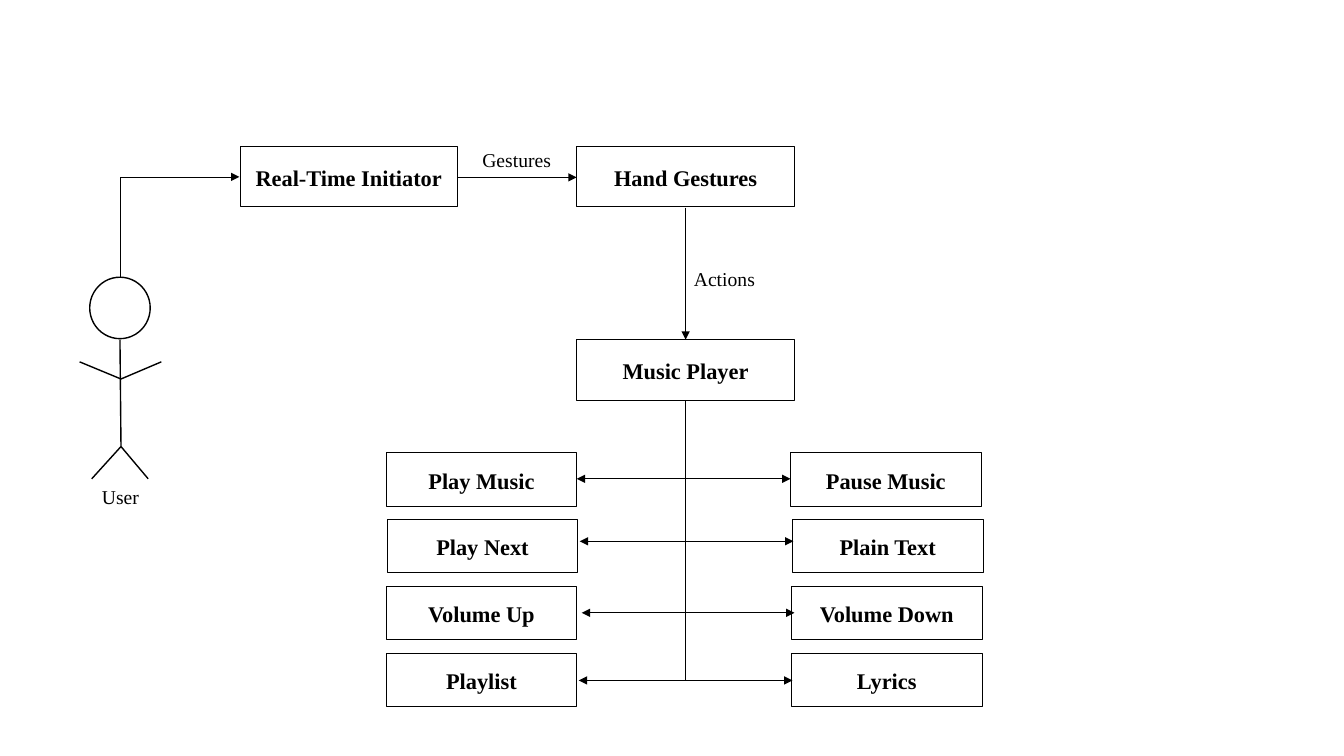
from dataclasses import dataclass

from lxml.etree import SubElement
from pptx import Presentation
from pptx.dml.color import RGBColor
from pptx.enum.shapes import MSO_CONNECTOR as Link, MSO_SHAPE as Preset
from pptx.enum.text import MSO_ANCHOR as Anchor, MSO_AUTO_SIZE as AutoSize, PP_ALIGN as Align
from pptx.oxml.ns import qn
from pptx.shapes.autoshape import Shape
from pptx.shapes.connector import Connector
from pptx.slide import Slide
from pptx.util import Inches, Pt

Point = tuple[float, float]


@dataclass(frozen=True)
class Theme:
    """Colours, font, type sizes and line widths."""
    ink: RGBColor = RGBColor(0, 0, 0)
    paper: RGBColor = RGBColor(255, 255, 255)
    font: str = "Times New Roman"
    box_size: Pt = Pt(16)
    label_size: Pt = Pt(14)
    thin: Pt = Pt(0.5)
    thick: Pt = Pt(1)


@dataclass(frozen=True)
class Process:
    """A labelled process box."""
    text: str
    left: float
    top: float
    width: float = 2.16
    height: float = 0.6


@dataclass(frozen=True)
class Label:
    """A free-standing caption."""
    text: str
    left: float
    top: float


@dataclass(frozen=True)
class CommandRow:
    """Two opposite player commands joined by a double arrow."""
    left_text: str
    right_text: str
    left: float
    right: float
    arrow_start: float
    arrow_end: float
    arrow_y: float


THEME = Theme()
SPINE_X = 6.8
ROW_TOP, ROW_PITCH = 4.49, 0.663
COMMAND_SIZE = (1.89, 0.53)
NECK, SHOULDER, HIP = (1.19, 3.37), (1.2, 3.76), (1.2, 4.43)

STAGES = [
    Process("Real-Time Initiator", 2.38, 1.45),
    Process("Hand Gestures", 5.72, 1.45),
    Process("Music Player", 5.72, 3.37),
]
LABELS = [
    Label("User", 0.75, 4.76),
    Label("Gestures", 4.68, 1.42),
    Label("Actions", 6.74, 2.6),
]
COMMANDS = [
    CommandRow("Play Music", "Pause Music", 3.83, 7.84, 5.72, 7.84, 4.75),
    CommandRow("Play Next", "Plain Text", 3.84, 7.86, 5.75, 7.87, 5.37),
    CommandRow("Volume Up", "Volume Down", 3.83, 7.85, 5.77, 7.88, 6.08),
    CommandRow("Playlist", "Lyrics", 3.83, 7.85, 5.74, 6.75 + 1.11, 6.75),
]
LIMBS = [
    (NECK, HIP),
    (HIP, (0.91, 4.75)),
    (HIP, (1.47, 4.75)),
    (SHOULDER, (0.79, 3.59)),
    (SHOULDER, (1.6, 3.59)),
]


def apply(target: object, values: dict) -> None:
    """Set each named attribute on the target."""
    for name, value in values.items():
        setattr(target, name, value)


def write(shape: Shape, text: str, size: Pt, bold: bool, spacing: dict) -> None:
    """Put one centred paragraph into a shape."""
    para = shape.text_frame.paragraphs[0]
    apply(para, {"alignment": Align.CENTER, **spacing})
    span = para.add_run()
    span.text = text
    apply(span.font, {"name": THEME.font, "size": size, "bold": bold})
    span.font.color.rgb = THEME.ink


def draw_process(page: Slide, process: Process) -> None:
    """Draw an outlined process box with bold text."""
    box = page.shapes.add_shape(
        Preset.FLOWCHART_PROCESS, Inches(process.left), Inches(process.top),
        Inches(process.width), Inches(process.height))
    box.shadow.inherit = False
    box.fill.background()
    box.line.color.rgb = THEME.ink
    box.line.width = THEME.thin
    apply(box.text_frame, {"word_wrap": True, "vertical_anchor": Anchor.MIDDLE})
    write(box, process.text, THEME.box_size, True,
          {"line_spacing": 1.07, "space_after": Pt(8)})


def draw_label(page: Slide, label: Label) -> None:
    """Draw a plain caption."""
    box = page.shapes.add_textbox(
        Inches(label.left), Inches(label.top), Inches(0.89), Inches(0.34))
    apply(box.text_frame, {"word_wrap": True, "auto_size": AutoSize.SHAPE_TO_FIT_TEXT})
    write(box, label.text, THEME.label_size, False, {})


def draw_line(page: Slide, start: Point, end: Point, width: Pt = THEME.thin,
              heads: tuple[str, ...] = (), kind: Link = Link.STRAIGHT) -> Connector:
    """Draw a connector; heads names the ends that get a triangle."""
    line = page.shapes.add_connector(kind, *(Inches(value) for value in start + end))
    line.line.color.rgb = THEME.ink
    line.line.width = width
    outline = line.line._get_or_add_ln()
    for head in heads:
        SubElement(outline, qn(f"a:{head}"), type="triangle")
    SubElement(line._element.spPr, qn("a:effectLst"))
    return line


def draw_user(page: Slide) -> None:
    """Draw the stick figure and the bent arrow leaving its head."""
    head = page.shapes.add_shape(
        Preset.OVAL, Inches(0.89), Inches(2.75), Inches(0.6), Inches(0.61))
    head.shadow.inherit = False
    head.fill.solid()
    head.fill.fore_color.rgb = THEME.paper
    head.line.color.rgb = THEME.ink
    head.line.width = THEME.thick
    for start, end in LIMBS:
        draw_line(page, start, end, THEME.thick)
    # A quarter turn makes the single bend rise first, then run right.
    bend = draw_line(page, (2.28, 2.84), (1.29, 1.66), heads=("tailEnd",), kind=Link.ELBOW)
    frame = bend._element.spPr
    frame.find(qn("a:xfrm")).set("rot", str(90 * 60000))
    frame.find(qn("a:prstGeom")).set("prst", "bentConnector2")


def draw_commands(page: Slide) -> None:
    """Draw the rows of player commands and their double arrows."""
    for index, row in enumerate(COMMANDS):
        top = ROW_TOP + index * ROW_PITCH
        draw_line(page, (row.arrow_start, row.arrow_y), (row.arrow_end, row.arrow_y),
                  heads=("headEnd", "tailEnd"))
        draw_process(page, Process(row.left_text, row.left, top, *COMMAND_SIZE))
        draw_process(page, Process(row.right_text, row.right, top, *COMMAND_SIZE))


def main() -> None:
    """Build and save the deck."""
    deck = Presentation()
    apply(deck, {"slide_width": Inches(13.33), "slide_height": Inches(7.5)})
    page = deck.slides.add_slide(deck.slide_layouts[6])
    draw_user(page)
    for stage in STAGES:
        draw_process(page, stage)
    draw_line(page, (4.54, 1.76), (5.72, 1.76), heads=("tailEnd",))
    draw_line(page, (SPINE_X, 2.06), (SPINE_X, 3.37), heads=("tailEnd",))
    draw_line(page, (SPINE_X, 3.98), (SPINE_X, 6.75))
    draw_commands(page)
    for label in LABELS:
        draw_label(page, label)
    deck.save("out.pptx")


main()
